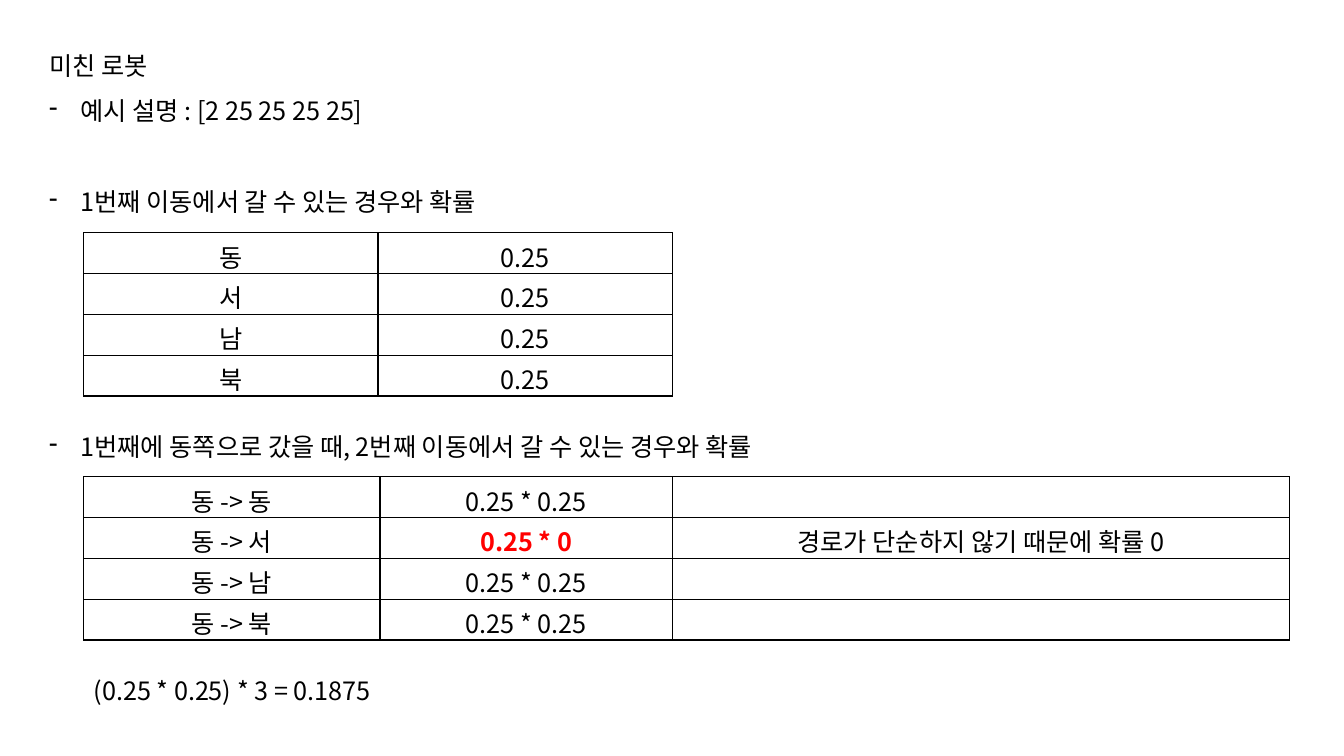
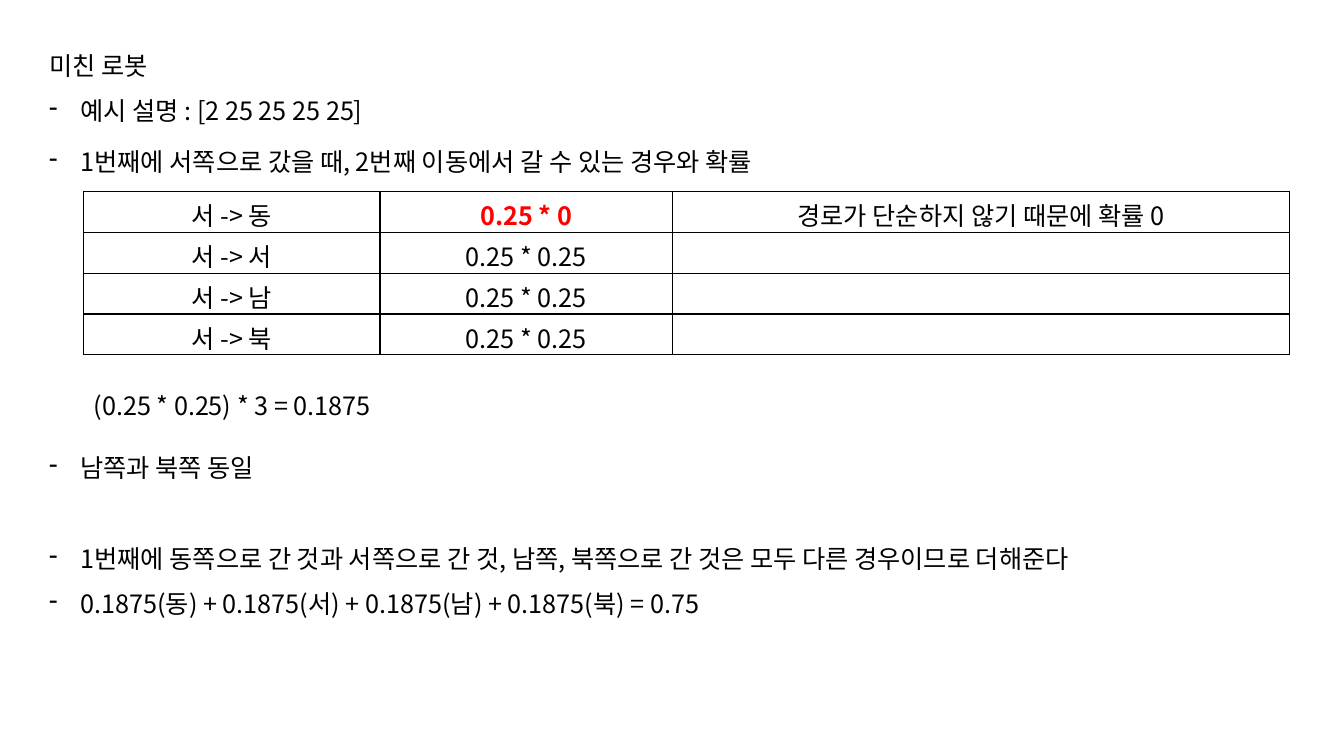
from dataclasses import dataclass

from lxml import etree
from pptx import Presentation
from pptx import util as u
from pptx.dml.color import RGBColor
from pptx.enum import text
from pptx.oxml import ns


@dataclass(frozen=True)
class Theme:
    font: str = "Noto Sans CJK KR"
    size: int = 18
    ink: str = "000000"
    alert: str = "FF0000"
    paper: str = "FFFFFF"
    line_spacing: float = 1.5
    section_gap: float = 32.5
    border: float = 1
    indent: float = 0.31


THEME = Theme()

# Shared grid, in inches
SLIDE_W, SLIDE_H = 13.33, 7.5
MARGIN, TABLE_LEFT, TOP = 0.39, 0.83, 0.3
BODY_W, SUM_W = 11.96, 3.43
LINE_H, ROW_H, GAP = 0.5, 0.405, 0.15
FIRST_MOVE_COLS = (2.92, 2.92)
SECOND_MOVE_COLS = (2.94, 2.9, 6.12)

# Shared wording
TITLE = "미친 로봇"
EXAMPLE = "- 예시 설명 : [2 25 25 25 25]"
DIRECTIONS = "동서남북"
OPPOSITE = dict(zip(DIRECTIONS, "서동북남"))
BLOCKED = "0.25 * 0"
REASON = "경로가 단순하지 않기 때문에 확률 0"
PATH_SUM = "(0.25 * 0.25) * 3 = 0.1875"


def style_runs(paragraph, color=THEME.ink, bold=False):
    for run in paragraph.runs:
        run.font.name = THEME.font
        run.font.size = u.Pt(THEME.size)
        run.font.bold = bold
        run.font.color.rgb = RGBColor.from_string(color)
        east_asian = etree.SubElement(run.font._element, ns.qn("a:ea"))
        east_asian.set("typeface", THEME.font)


def add_dash(paragraph):
    props = paragraph._p.get_or_add_pPr()
    props.set("marL", str(u.Inches(THEME.indent)))
    props.set("indent", str(-u.Inches(THEME.indent)))
    etree.SubElement(props, ns.qn("a:buFontTx"))
    etree.SubElement(props, ns.qn("a:buChar")).set("char", "-")


def add_lines(slide, left, top, width, height, lines, gap_before=None):
    """Lines that start with "- " become dashed items; one may open a section."""
    box = slide.shapes.add_textbox(*map(u.Inches, (left, top, width, height)))
    frame = box.text_frame
    frame.word_wrap = True
    frame.auto_size = text.MSO_AUTO_SIZE.SHAPE_TO_FIT_TEXT
    frame.text = "\n".join(line.removeprefix("- ") for line in lines)
    for index, (line, paragraph) in enumerate(zip(lines, frame.paragraphs)):
        paragraph.line_spacing = THEME.line_spacing
        if index == gap_before:
            paragraph.space_before = u.Pt(THEME.section_gap)
        if line.startswith("- "):
            add_dash(paragraph)
        style_runs(paragraph)


def add_borders(cell):
    props = cell._tc.get_or_add_tcPr()
    for position, side in enumerate(("lnL", "lnR", "lnT", "lnB")):
        line = etree.Element(ns.qn(f"a:{side}"), w=str(u.Pt(THEME.border)))
        fill = etree.SubElement(line, ns.qn("a:solidFill"))
        etree.SubElement(fill, ns.qn("a:srgbClr"), val=THEME.ink)
        props.insert(position, line)


def add_grid(slide, top, col_widths, rows):
    frame = slide.shapes.add_table(
        len(rows), len(col_widths), u.Inches(TABLE_LEFT), u.Inches(top),
        u.Inches(sum(col_widths)), u.Inches(ROW_H * len(rows)))
    grid = frame.table
    grid.first_row = grid.horz_banding = False
    for column, width in zip(grid.columns, col_widths):
        column.width = u.Inches(width)
    for r, row in enumerate(rows):
        grid.rows[r].height = u.Inches(ROW_H)
        for c, value in enumerate(row):
            cell = grid.cell(r, c)
            cell.fill.background()
            cell.vertical_anchor = text.MSO_ANCHOR.MIDDLE
            add_borders(cell)
            cell.text_frame.text = value
            paragraph = cell.text_frame.paragraphs[0]
            paragraph.alignment = text.PP_ALIGN.CENTER
            blocked = value == BLOCKED
            style_runs(paragraph, THEME.alert if blocked else THEME.ink, blocked)


def add_second_move(slide, top, first):
    """Heading, table of paths and their sum for one first direction."""
    add_lines(slide, MARGIN, top, BODY_W, LINE_H, [
        f"- 1번째에 {first}쪽으로 갔을 때, 2번째 이동에서 갈 수 있는 경우와 확률"])
    rows = []
    for second in DIRECTIONS:
        outcome = (BLOCKED, REASON) if second == OPPOSITE[first] else ("0.25 * 0.25", "")
        rows.append((f"{first} -> {second}", *outcome))
    table_top = top + LINE_H + GAP
    add_grid(slide, table_top, SECOND_MOVE_COLS, rows)
    sum_top = table_top + ROW_H * len(rows) + GAP
    add_lines(slide, TABLE_LEFT, sum_top, SUM_W, LINE_H, [PATH_SUM])


def new_slide(deck):
    slide = deck.slides.add_slide(deck.slide_layouts[6])
    slide.background.fill.solid()
    slide.background.fill.fore_color.rgb = RGBColor.from_string(THEME.paper)
    return slide


def build_east(deck):
    slide = new_slide(deck)
    add_lines(slide, MARGIN, TOP, BODY_W, 1.86, [
        TITLE, EXAMPLE, "- 1번째 이동에서 갈 수 있는 경우와 확률"], gap_before=2)
    add_grid(slide, 2.31, FIRST_MOVE_COLS, [(way, "0.25") for way in DIRECTIONS])
    add_second_move(slide, 4.08, "동")


def build_west(deck):
    slide = new_slide(deck)
    add_lines(slide, MARGIN, TOP, BODY_W, 0.95, [TITLE, EXAMPLE])
    add_second_move(slide, 1.25, "서")
    total = " + ".join(f"0.1875({way})" for way in DIRECTIONS)
    add_lines(slide, MARGIN, 4.29, BODY_W, 1.86, [
        "- 남쪽과 북쪽 동일",
        "- 1번째에 동쪽으로 간 것과 서쪽으로 간 것, 남쪽, 북쪽으로 간 것은 모두 다른 경우이므로 더해준다",
        f"- {total} = 0.75"], gap_before=1)


def main():
    deck = Presentation()
    deck.slide_width, deck.slide_height = u.Inches(SLIDE_W), u.Inches(SLIDE_H)
    build_east(deck)
    build_west(deck)
    deck.save("out.pptx")


if __name__ == "__main__":
    main()
